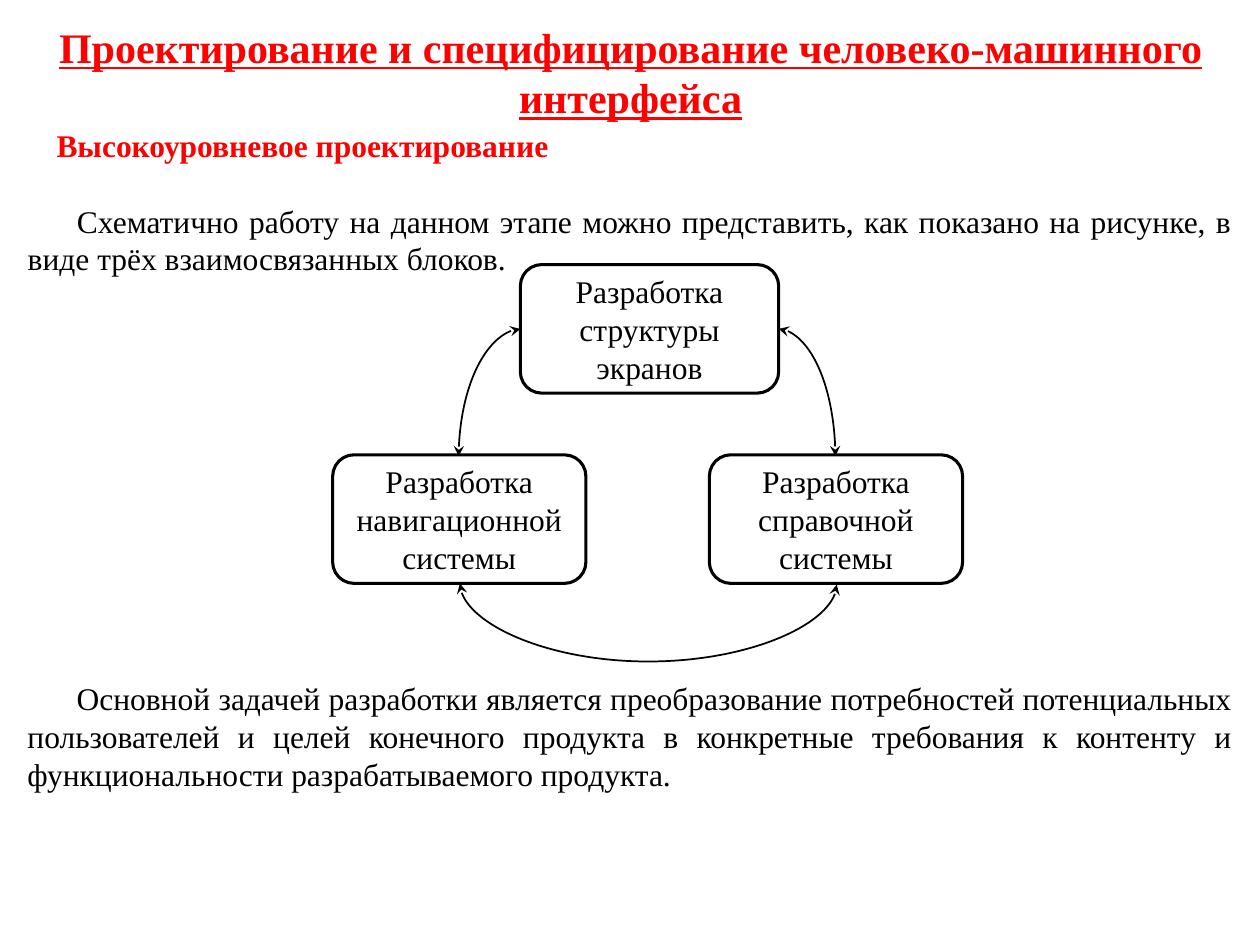
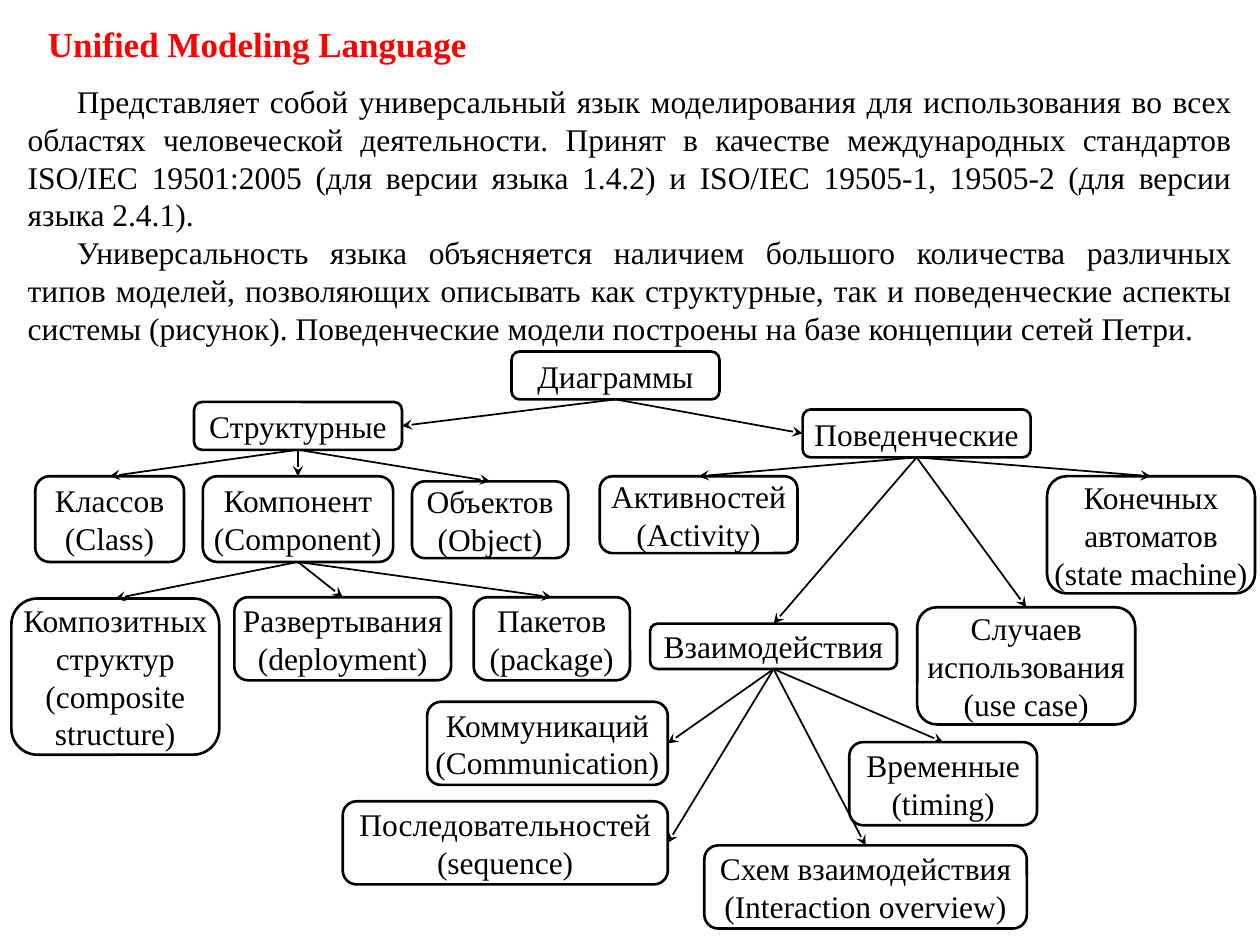
from lxml.etree import SubElement
from pptx import Presentation
from pptx.dml.color import RGBColor
from pptx.enum.shapes import MSO_CONNECTOR as CONN, MSO_SHAPE as SHAPE
from pptx.enum.text import MSO_ANCHOR as ANCHOR, MSO_AUTO_SIZE as AUTO, PP_ALIGN as ALIGN
from pptx.oxml.ns import qn
from pptx.util import Inches, Pt

FONT = "Times New Roman"
RED, BLACK, WHITE = "FF0000", "000000", "FFFFFF"
TOP, LEFT, BOTTOM, RIGHT = range(4)
BODY_LEFT, BODY_WIDTH = 0.12, 9.76


def rgb(color):
    return RGBColor.from_string(color)


def place(shape, left, top, width, height):
    shape.left, shape.top = Inches(left), Inches(top)
    shape.width, shape.height = Inches(width), Inches(height)


def write(tf, *texts, size=18, color=BLACK, bold=False, underline=False,
          align=ALIGN.JUSTIFY, indent=0, anchor=ANCHOR.TOP, wrap=True):
    tf.auto_size = AUTO.NONE
    tf.word_wrap = wrap
    tf.vertical_anchor = anchor
    for i, text in enumerate(texts):
        p = tf.add_paragraph() if i else tf.paragraphs[0]
        p.alignment = align
        p.space_before = Pt(0)
        pPr = p._p.get_or_add_pPr()
        pPr.set("marL", "0")
        pPr.set("indent", str(Inches(indent)))
        SubElement(pPr, qn("a:buNone"))
        r = p.add_run()
        r.text = text
        font = r.font
        font.name, font.size = FONT, Pt(size)
        font.bold, font.underline = bold, underline
        font.color.rgb = rgb(color)


def add_slide(prs, title, title_at, body, body_top, body_height, **title_format):
    s = prs.slides.add_slide(prs.slide_layouts[1])
    place(s.shapes.title, *title_at)
    write(s.shapes.title.text_frame, title, color=RED, bold=True, **title_format)
    place(s.placeholders[1], BODY_LEFT, body_top, BODY_WIDTH, body_height)
    write(s.placeholders[1].text_frame, *body, indent=0.39)
    return s


def add_text(s, text, at, **text_format):
    tb = s.shapes.add_textbox(*map(Inches, at))
    write(tb.text_frame, text, **text_format)


def add_box(s, text, at, width=1.5, fill=None, inset=None):
    sp = s.shapes.add_shape(SHAPE.ROUNDED_RECTANGLE, *map(Inches, at))
    sp.shadow.inherit = False
    if fill:
        sp.fill.solid()
        sp.fill.fore_color.rgb = rgb(fill)
    else:
        sp.fill.background()
    sp.line.color.rgb = rgb(BLACK)
    sp.line.width = Pt(width)
    tf = sp.text_frame
    if inset is not None:
        tf.margin_left = tf.margin_right = tf.margin_top = tf.margin_bottom = Inches(inset)
    write(tf, text, align=ALIGN.CENTER, anchor=ANCHOR.MIDDLE)
    return sp


def add_arrow(s, start, start_site, end, end_site, kind=CONN.STRAIGHT, both=False):
    cxn = s.shapes.add_connector(kind, 0, 0, 0, 0)
    cxn.begin_connect(start, start_site)
    cxn.end_connect(end, end_site)
    cxn.line.color.rgb = rgb(BLACK)
    cxn.line.width = Pt(1)
    ln = cxn.line._get_or_add_ln()
    for tag in ("a:headEnd", "a:tailEnd") if both else ("a:tailEnd",):
        SubElement(ln, qn(tag), type="stealth")
    SubElement(cxn._element.spPr, qn("a:effectLst"))
    return cxn


def add_curve(s, start, start_site, end, end_site, at, preset, adjust=None, **turn):
    cxn = add_arrow(s, start, start_site, end, end_site, CONN.CURVE, both=True)
    place(cxn, *at)
    xfrm = cxn._element.spPr.find(qn("a:xfrm"))
    xfrm.attrib.clear()
    for name, value in turn.items():
        xfrm.set(name, str(value))
    geom = cxn._element.spPr.find(qn("a:prstGeom"))
    geom.set("prst", preset)
    if adjust:
        SubElement(geom.find(qn("a:avLst")), qn("a:gd"), name="adj1", fmla=f"val {adjust}")


def interface_slide(prs):
    s = add_slide(
        prs, "Проектирование и специфицирование человеко-машинного интерфейса",
        (0.24, 0.12, 9.53, 0.91),
        ["Схематично работу на данном этапе можно представить, как показано на рисунке, "
         "в виде трёх взаимосвязанных блоков."],
        1.55, 0.71, size=24, underline=True, align=ALIGN.CENTER)
    add_text(s, "Высокоуровневое проектирование", (0.35, 0.95, 4.15, 0.4),
             color=RED, bold=True, wrap=False)
    screens, navigation, reference = [
        add_box(s, f"Разработка {subject}", (left, top, width, 1.02), 1.75, WHITE)
        for subject, left, top, width in (
            ("структуры экранов", 4.13, 2.1, 2.05),
            ("навигационной системы", 2.64, 3.61, 2.01),
            ("справочной системы", 5.63, 3.61, 2.01))]
    add_curve(s, screens, LEFT, navigation, TOP, (3.64, 2.61, 0.49, 1.01),
              "curvedConnector2", rot=180 * 60000, flipV=1)
    add_curve(s, navigation, BOTTOM, reference, BOTTOM, (5.14, 3.14, 0.01, 2.99),
              "curvedConnector3", 6300000, rot=270 * 60000, flipH=1)
    add_curve(s, screens, RIGHT, reference, TOP, (6.18, 2.61, 0.45, 1.01),
              "curvedConnector2")
    add_text(s, "Основной задачей разработки является преобразование потребностей "
             "потенциальных пользователей и целей конечного продукта в конкретные "
             "требования к контенту и функциональности разрабатываемого продукта.",
             (BODY_LEFT, 5.34, BODY_WIDTH, 1.01), indent=0.39)


def uml_slide(prs):
    s = add_slide(
        prs, "Unified Modeling Language", (0.28, 0.13, 3.62, 0.44),
        ["Представляет собой универсальный язык моделирования для использования во всех "
         "областях человеческой деятельности. Принят в качестве международных стандартов "
         "ISO/IEC 19501:2005 (для версии языка 1.4.2) и ISO/IEC 19505-1, 19505-2 "
         "(для версии языка 2.4.1).",
         "Универсальность языка объясняется наличием большого количества различных типов "
         "моделей, позволяющих описывать как структурные, так и поведенческие аспекты "
         "системы (рисунок). Поведенческие модели построены на базе концепции сетей Петри."],
        0.6, 2.22, size=20, align=ALIGN.LEFT, wrap=False)
    diagrams = (
        ("Диаграммы", (4.06, 2.79, 1.65, 0.38), None, None),
        ("Структурные", (1.54, 3.19, 1.65, 0.38), "Диаграммы", RIGHT),
        ("Поведенческие", (6.37, 3.25, 1.81, 0.38), "Диаграммы", LEFT),
        ("Классов (Class)", (0.28, 3.78, 1.18, 0.68), "Структурные", TOP),
        ("Компонент (Component)", (1.61, 3.78, 1.51, 0.68), "Структурные", TOP),
        ("Объектов (Object)", (3.27, 3.82, 1.24, 0.61), "Структурные", TOP),
        ("Активностей (Activity)", (4.76, 3.78, 1.57, 0.61), "Поведенческие", TOP),
        ("Случаев использования (use case)", (7.28, 4.82, 1.73, 0.93), "Поведенческие", TOP),
        ("Конечных автоматов (state machine)", (8.31, 3.78, 1.65, 0.93), "Поведенческие", TOP),
        ("Взаимодействия", (5.16, 4.95, 1.96, 0.36), "Поведенческие", TOP),
        ("Композитных структур (composite structure)", (0.09, 4.75, 1.65, 1.24),
         "Компонент (Component)", TOP),
        ("Развертывания (deployment)", (1.86, 4.74, 1.72, 0.66), "Компонент (Component)", TOP),
        ("Пакетов (package)", (3.76, 4.74, 1.24, 0.66), "Компонент (Component)", TOP),
        ("Последовательностей (sequence)", (2.72, 6.36, 2.58, 0.66), "Взаимодействия", RIGHT),
        ("Коммуникаций (Communication)", (3.39, 5.57, 1.91, 0.66), "Взаимодействия", RIGHT),
        ("Временные (timing)", (6.74, 5.89, 1.49, 0.66), "Взаимодействия", TOP),
        ("Схем взаимодействия (Interaction overview)", (5.59, 6.71, 2.56, 0.66),
         "Взаимодействия", TOP),
    )
    boxes = {}
    for name, at, parent, site in diagrams:
        boxes[name] = add_box(s, name, at, inset=0)
        if parent:
            add_arrow(s, boxes[parent], BOTTOM, boxes[name], site)


def main():
    prs = Presentation()
    prs.slide_width, prs.slide_height = Inches(10), Inches(7.5)
    interface_slide(prs)
    uml_slide(prs)
    prs.save("out.pptx")


if __name__ == "__main__":
    main()
